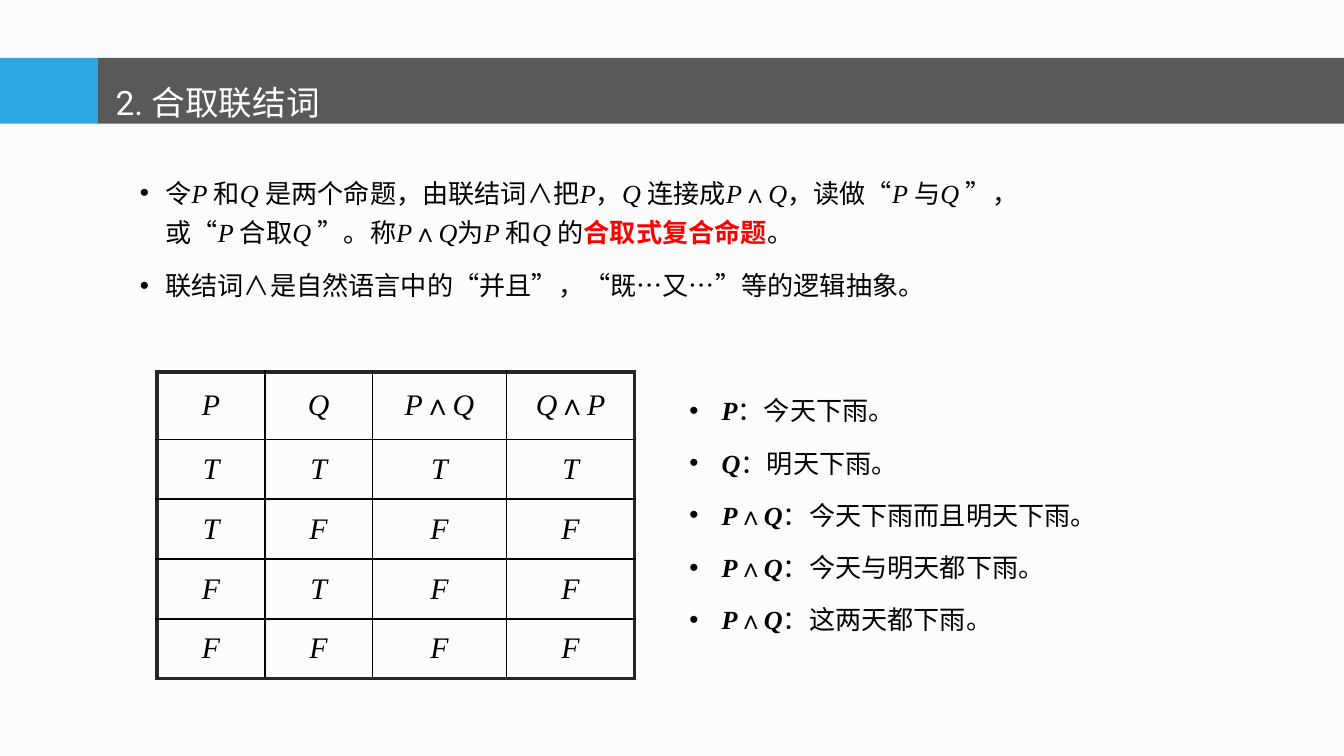
from itertools import groupby
from lxml.etree import SubElement
from pptx import Presentation
from pptx.dml.color import RGBColor
from pptx.enum.shapes import MSO_SHAPE
from pptx.enum.text import MSO_ANCHOR, MSO_AUTO_SIZE, PP_ALIGN
from pptx.oxml.ns import qn
from pptx.util import Inches, Pt


def color(value):
    return RGBColor.from_string(value)


def add_runs(paragraph, text, size, bold_variables=False):
    for index, part in enumerate(text.split("|")):
        highlighted = index % 2 == 1
        for kind, letters in groupby(part, lambda c: "variable" if c in "PQTF " else "break" if c == "\n" else "plain"):
            if kind == "break":
                paragraph.add_line_break()
                continue
            run = paragraph.add_run()
            run.text = "".join(letters)
            variable = kind == "variable"
            formats = {"name": "Times New Roman", "size": Pt(size), "italic": variable,
                       "bold": highlighted or (variable and bold_variables)}
            for name, value in formats.items():
                setattr(run.font, name, value)
            run.font.color.rgb = color("FF0000" if highlighted else "000000")


presentation = Presentation()
presentation.slide_width = Inches(10)
presentation.slide_height = Inches(10) * 9 // 16
slide = presentation.slides.add_slide(presentation.slide_layouts[3])
slide.background.fill.solid()
slide.background.fill.fore_color.rgb = color("FCFCFC")
title, definition, examples = slide.placeholders

bars = [(0, 0.73, "2EA7E0"), (0.73, 9.27, "595959")]
for position, (left, width, fill) in enumerate(bars):
    bar = slide.shapes.add_shape(MSO_SHAPE.RECTANGLE, Inches(left), Inches(0.43), Inches(width), Inches(0.49))
    bar.shadow.inherit = False
    bar.fill.solid()
    bar.fill.fore_color.rgb = color(fill)
    bar.line.fill.background()
    slide.shapes._spTree.insert(2 + position, bar._element)

places = [(title, 0.76, 0.35, 4.11, 0.55), (definition, 0.94, 1.21, 7.88, 1.34), (examples, 5.03, 2.77, 3.91, 2.41)]
for shape, left, top, width, height in places:
    box = {"left": left, "top": top, "width": width, "height": height}
    for name, value in box.items():
        setattr(shape, name, Inches(value))
    frame = {"word_wrap": True, "auto_size": MSO_AUTO_SIZE.NONE, "vertical_anchor": MSO_ANCHOR.TOP}
    for name, value in frame.items():
        setattr(shape.text_frame, name, value)

paragraph = title.text_frame.paragraphs[0]
paragraph.alignment = PP_ALIGN.LEFT
paragraph.line_spacing = 1.7
run = paragraph.add_run()
run.text = "2. 合取联结词"
for name, value in {"name": "Roboto", "size": Pt(18), "bold": False}.items():
    setattr(run.font, name, value)
run.font.color.rgb = color("FFFFFF")

definition_lines = [
    "令P 和Q 是两个命题，由联结词∧把P，Q 连接成P∧Q，读做“P 与Q ”，\n"
    "或“P 合取Q ”。称P∧Q为P 和Q 的|合取式复合命题|。",
    "联结词∧是自然语言中的“并且”，“既…又…”等的逻辑抽象。",
]
example_lines = ["P：今天下雨。", "Q：明天下雨。", "P∧Q：今天下雨而且明天下雨。", "P∧Q：今天与明天都下雨。", "P∧Q：这两天都下雨。"]
lists = [
    (definition, definition_lines, 0.19, 1.25, 7.5, PP_ALIGN.LEFT, False),
    (examples, example_lines, 0.24, 1.5, 2.8, PP_ALIGN.JUSTIFY, True),
]
for shape, lines, indent, spacing, before, alignment, bold in lists:
    for index, line in enumerate(lines):
        paragraph = shape.text_frame.add_paragraph() if index else shape.text_frame.paragraphs[0]
        formats = {"alignment": alignment, "line_spacing": spacing, "space_before": Pt(before if index else 0)}
        for name, value in formats.items():
            setattr(paragraph, name, value)
        properties = paragraph._p.get_or_add_pPr()
        properties.set("marL", str(Inches(indent)))
        properties.set("indent", str(-Inches(indent)))
        bullet_color = SubElement(properties, qn("a:buClr"))
        SubElement(bullet_color, qn("a:srgbClr"), val="000000")
        SubElement(properties, qn("a:buFont"), typeface="Arial")
        SubElement(properties, qn("a:buChar"), char="•")
        add_runs(paragraph, line, 14, bold)

truth_rows = [["P", "Q", "P∧Q", "Q∧P"], "TTTT", "TFFF", "FTFF", "FFFF"]
column_widths = [0.8, 0.8, 1, 0.95]
row_heights = [0.5] + [(2.28 - 0.5) / 4] * 4
last_row, last_column = len(row_heights) - 1, len(column_widths) - 1
table = slide.shapes.add_table(len(row_heights), len(column_widths), Inches(1.17), Inches(2.77),
                               Inches(sum(column_widths)), Inches(sum(row_heights))).table
table.first_row = False
table.horz_banding = False
for column, width in zip(table.columns, column_widths):
    column.width = Inches(width)
for row, height in zip(table.rows, row_heights):
    row.height = Inches(height)

for row_index, values in enumerate(truth_rows):
    for column_index, value in enumerate(values):
        cell = table.cell(row_index, column_index)
        cell.vertical_anchor = MSO_ANCHOR.MIDDLE
        paragraph = cell.text_frame.paragraphs[0]
        paragraph.alignment = PP_ALIGN.CENTER
        add_runs(paragraph, value, 16)
        outer_sides = {"lnL": column_index == 0, "lnR": column_index == last_column,
                       "lnT": row_index == 0, "lnB": row_index == last_row}
        for side, outer in outer_sides.items():
            border = SubElement(cell._tc.get_or_add_tcPr(), qn("a:" + side), w=str(Pt(2.25 if outer else 1)))
            border_fill = SubElement(border, qn("a:solidFill"))
            SubElement(border_fill, qn("a:srgbClr"), val="262626" if outer else "000000")
        cell.fill.background()

presentation.save("out.pptx")
